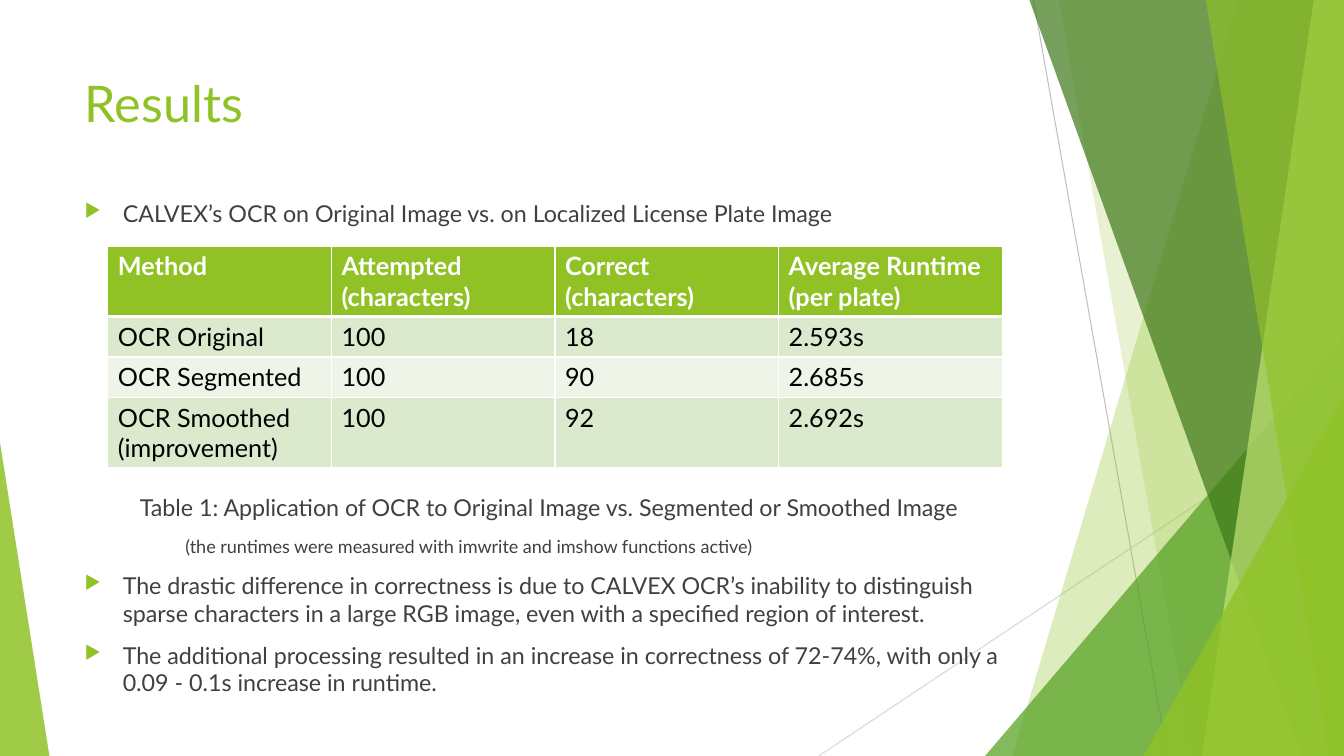
from lxml import etree
from pptx import Presentation
from pptx.dml.color import RGBColor
from pptx.enum.shapes import MSO_CONNECTOR, MSO_SHAPE
from pptx.enum.text import MSO_ANCHOR, PP_ALIGN
from pptx.oxml.ns import qn
from pptx.util import Inches, Pt

LEFT, CENTER = PP_ALIGN.LEFT, PP_ALIGN.CENTER
TOP = MSO_ANCHOR.TOP
TRIANGLE, STRAIGHT = MSO_SHAPE.ISOSCELES_TRIANGLE, MSO_CONNECTOR.STRAIGHT

WHITE = RGBColor(0xFF, 0xFF, 0xFF)
BLACK = RGBColor(0, 0, 0)
INK = RGBColor(0x40, 0x40, 0x40)
LIME = RGBColor(0x90, 0xC2, 0x26)
GREEN = RGBColor(0x54, 0xA0, 0x21)
FOREST = RGBColor(0x3F, 0x78, 0x19)
PALE = RGBColor(0xC0, 0xE4, 0x74)
GREY = RGBColor(0xBF, 0xBF, 0xBF)
SILVER = RGBColor(0xD9, 0xD9, 0xD9)
BANDS = (RGBColor(0xDB, 0xE9, 0xCD), RGBColor(0xEE, 0xF4, 0xE8))

FONT = "Lato"
WIDTH, HEIGHT = 13.33, 7.5
MARGIN, TEXT_WIDTH = 0.74, 9.4

TITLE = "Results"
BODY = [
    ("CALVEX’s OCR on Original Image vs. on Localized License Plate Image",
     dict(bullet=True, before=0)),
    ("Table 1: Application of OCR to Original Image vs. Segmented or Smoothed Image",
     dict(align=CENTER, before=190)),
    ("(the runtimes were measured with imwrite and imshow functions active)",
     dict(size=12.9, indent=1)),
    ("The drastic difference in correctness is due to CALVEX OCR’s inability to distinguish "
     "sparse characters in a large RGB image, even with a specified region of interest.",
     dict(bullet=True)),
    ("The additional processing resulted in an increase in correctness of 72-74%, "
     "with only a 0.09 - 0.1s increase in runtime.",
     dict(bullet=True)),
]
RESULTS = [
    ("Method", "Attempted (characters)", "Correct (characters)", "Average Runtime (per plate)"),
    ("OCR Original", "100", "18", "2.593s"),
    ("OCR Segmented", "100", "90", "2.685s"),
    ("OCR Smoothed (improvement)", "100", "92", "2.692s"),
]
ROW_HEIGHTS = (0.69, 0.4, 0.4, 0.69)
TABLE_WIDTH = 8.87

RAYS = [((10.25, 0), (11.58, HEIGHT), GREY), ((WIDTH, 4.03), (8.12, HEIGHT), SILVER)]
FACETS = [
    ("band", 12.28, 10.04, LIME, 30),
    ("band", 10.5, 11.83, LIME, 20),
    ("right", 3.56, 4.17, GREEN, 72),
    ("band", 10.21, 12.91, FOREST, 70),
    ("band", 13.03, 11.92, PALE, 70),
    ("band", 11.96, 13.18, LIME, 65),
    ("right", 1.99, 3.57, LIME, 80),
    ("left", 0.49, 3.11, LIME, 85),
]


def write(para, text, size=16.6, color=INK, bold=False, align=LEFT, before=10,
          indent=0, bullet=False):
    para.alignment = align
    para.space_before = Pt(before)
    span = para.add_run()
    span.text = text
    span.font.name, span.font.size, span.font.bold = FONT, Pt(size), bold
    span.font.color.rgb = color
    props = para._p.get_or_add_pPr()
    hang = 0.38 if bullet else 0
    props.set("marL", str(Inches(indent + hang)))
    props.set("indent", str(-Inches(hang)))
    if bullet:
        tint = etree.SubElement(props, qn("a:buClr"))
        etree.SubElement(tint, qn("a:srgbClr"), val=str(LIME))
        etree.SubElement(props, qn("a:buSzPct"), val="80000")
        etree.SubElement(props, qn("a:buChar"), char="▶")


def add_ray(page, start, end, color):
    ray = page.shapes.add_connector(STRAIGHT, *map(Inches, start + end))
    ray.line.color.rgb = color
    ray.line.width = Pt(0.75)
    etree.SubElement(ray._element.spPr, qn("a:effectLst"))


def add_facet(page, kind, across, down, color, opacity):
    if kind == "band":
        outline = page.shapes.build_freeform(Inches(across), 0)
        corners = [(WIDTH, 0), (WIDTH, HEIGHT), (down, HEIGHT)]
        outline.add_line_segments([(Inches(x), Inches(y)) for x, y in corners], close=True)
        facet = outline.convert_to_shape()
    else:
        left = WIDTH - across if kind == "right" else 0
        facet = page.shapes.add_shape(TRIANGLE, Inches(left), Inches(HEIGHT - down),
                                      Inches(across), Inches(down))
        facet.adjustments[0] = 1 if kind == "right" else 0
    facet.shadow.inherit = False
    facet.line.fill.background()
    facet.fill.solid()
    facet.fill.fore_color.rgb = color
    tint = facet._element.spPr.find(qn("a:solidFill"))[0]
    etree.SubElement(tint, qn("a:alpha"), val=str(opacity * 1000))


def style_cell(cell, fill, row):
    props = cell._tc.get_or_add_tcPr()
    for side in "LRTB":
        heavy = (side == "B" and row == 0) or (side == "T" and row == 1)
        edge = etree.SubElement(props, qn("a:ln" + side), w=str(Pt(3 if heavy else 1)))
        paint = etree.SubElement(edge, qn("a:solidFill"))
        etree.SubElement(paint, qn("a:srgbClr"), val=str(WHITE))
    cell.fill.solid()
    cell.fill.fore_color.rgb = fill


def add_results(page):
    rows, columns = len(RESULTS), len(RESULTS[0])
    table = page.shapes.add_table(rows, columns, Inches(1.07), Inches(2.44),
                                  Inches(TABLE_WIDTH), Inches(sum(ROW_HEIGHTS))).table
    for row, values in enumerate(RESULTS):
        table.rows[row].height = Inches(ROW_HEIGHTS[row])
        header = row == 0
        for column, value in enumerate(values):
            cell = table.cell(row, column)
            style_cell(cell, LIME if header else BANDS[(row - 1) % 2], row)
            write(cell.text_frame.paragraphs[0], value, size=18, before=0,
                  color=WHITE if header else BLACK, bold=header)


def main():
    deck = Presentation()
    deck.slide_width, deck.slide_height = Inches(WIDTH), Inches(HEIGHT)
    page = deck.slides.add_slide(deck.slide_layouts[5])
    for ray in RAYS:
        add_ray(page, *ray)
    for facet in FACETS:
        add_facet(page, *facet)

    title = page.shapes.title
    title.left, title.top = Inches(MARGIN), Inches(0.67)
    title.width, title.height = Inches(TEXT_WIDTH), Inches(1.44)
    title.text_frame.vertical_anchor = TOP
    write(title.text_frame.paragraphs[0], TITLE, size=36, color=LIME, before=0)

    box = page.shapes.add_textbox(Inches(MARGIN), Inches(1.93),
                                  Inches(TEXT_WIDTH), Inches(5.24))
    frame = box.text_frame
    frame.word_wrap = True
    for index, (text, style) in enumerate(BODY):
        para = frame.add_paragraph() if index else frame.paragraphs[0]
        write(para, text, **style)
    add_results(page)
    deck.save("out.pptx")


if __name__ == "__main__":
    main()
